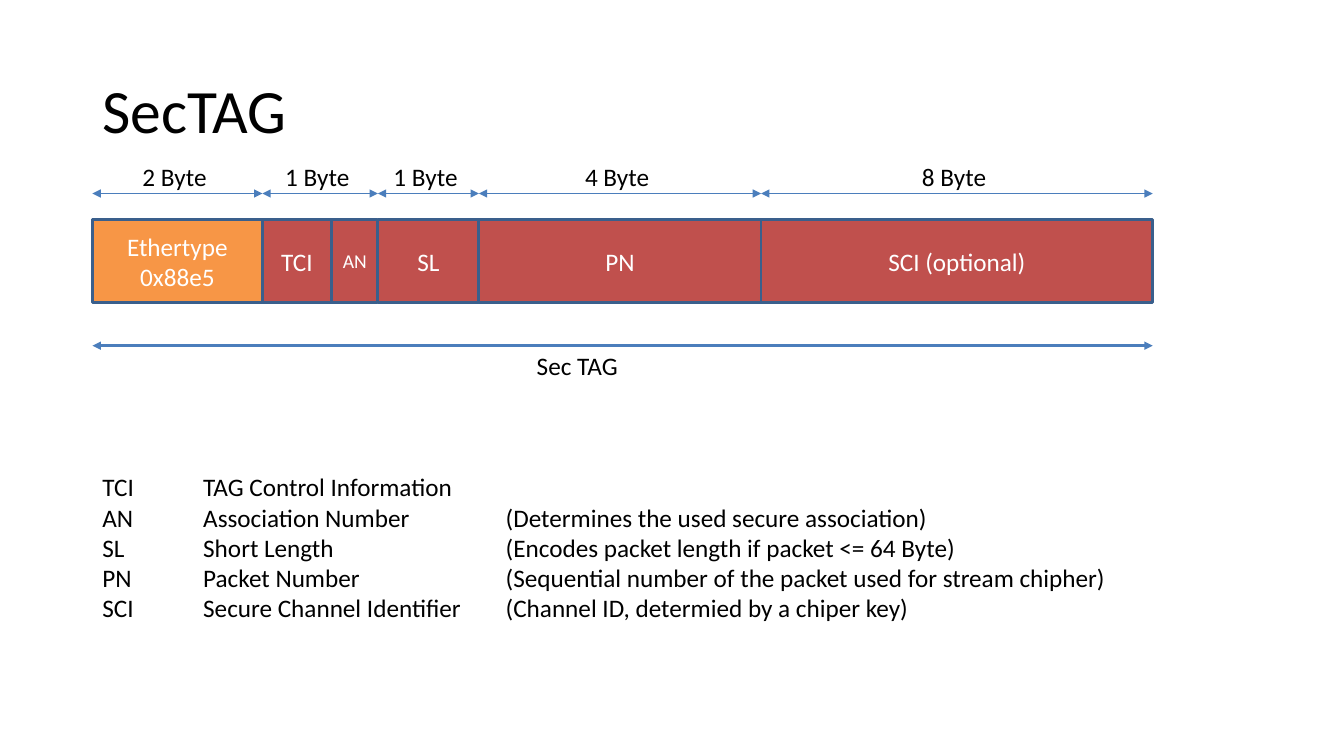
from dataclasses import dataclass

from lxml import etree
from pptx import Presentation
from pptx.dml.color import RGBColor
from pptx.enum.shapes import MSO_CONNECTOR, MSO_SHAPE
from pptx.enum.text import MSO_ANCHOR, PP_ALIGN
from pptx.oxml.ns import qn
from pptx.util import Emu, Inches, Pt

LEFT, CENTER = PP_ALIGN.LEFT, PP_ALIGN.CENTER
TOP, MIDDLE = MSO_ANCHOR.TOP, MSO_ANCHOR.MIDDLE
RECTANGLE, STRAIGHT = MSO_SHAPE.RECTANGLE, MSO_CONNECTOR.STRAIGHT

BLACK = RGBColor(0x00, 0x00, 0x00)
WHITE = RGBColor(0xFF, 0xFF, 0xFF)
ORANGE = RGBColor(0xF7, 0x96, 0x46)
RED = RGBColor(0xC0, 0x50, 0x4D)
OUTLINE = RGBColor(0x3A, 0x5F, 0x8C)
ARROW = RGBColor(0x4B, 0x7E, 0xBC)

FONT = "Calibri"
SLIDE_W, SLIDE_H = Inches(13.33), Inches(7.5)

# Field borders as percent of the slide width, rows as percent of its height
EDGES = [6.88, 19.52, 24.68, 28.12, 35.63, 56.63, 85.77]
TITLE_ROW = (5.33, 19.33)
SIZE_ROW = (20.67, 5.33)
SIZE_ARROW_Y = 25.6
FIELD_ROW = (29.07, 10.93)
TOTAL_ARROW_Y = 45.73
TOTAL_ROW = (TOTAL_ARROW_Y, 5.33)
LEGEND_ROW = (61.73, 21.33)


@dataclass(frozen=True)
class Field:
    label: str
    fill: RGBColor = RED
    size: int = 18


@dataclass(frozen=True)
class ByteSpan:
    count: int
    first_edge: int
    last_edge: int


FIELDS = [
    Field("Ethertype\n0x88e5", ORANGE),
    Field("TCI"),
    Field("AN", size=14),
    Field("SL"),
    Field("PN"),
    Field("SCI (optional)"),
]
BYTE_SPANS = [
    ByteSpan(2, 0, 1),
    ByteSpan(1, 1, 3),
    ByteSpan(1, 3, 4),
    ByteSpan(4, 4, 5),
    ByteSpan(8, 5, 6),
]
LEGEND = [
    ("TCI", "TAG Control Information"),
    ("AN", "Association Number", "(Determines the used secure association)"),
    ("SL", "Short Length", "(Encodes packet length if packet <= 64 Byte)"),
    ("PN", "Packet Number", "(Sequential number of the packet used for stream chipher)"),
    ("SCI", "Secure Channel Identifier", "(Channel ID, determied by a chiper key)"),
]
LEGEND_TABS = [Inches(1), Inches(4)]


def x_at(percent: float) -> Emu:
    return Emu(round(SLIDE_W * percent / 100))


def y_at(percent: float) -> Emu:
    return Emu(round(SLIDE_H * percent / 100))


def box(left: float, right: float, row: tuple[float, float]) -> tuple[Emu, ...]:
    return x_at(left), y_at(row[0]), x_at(right - left), y_at(row[1])


def write(frame, text: str, size: int, color: RGBColor, align=CENTER, anchor=TOP) -> None:
    frame.text = text
    frame.word_wrap = True
    frame.vertical_anchor = anchor
    for paragraph in frame.paragraphs:
        paragraph.alignment = align
        paragraph.font.name = FONT
        paragraph.font.size = Pt(size)
        paragraph.font.color.rgb = color


def add_label(slide, left: float, right: float, row: tuple[float, float], text: str,
              size: int = 18, align=CENTER, anchor=TOP):
    frame = slide.shapes.add_textbox(*box(left, right, row)).text_frame
    write(frame, text, size, BLACK, align, anchor)
    return frame


def add_field(slide, field: Field, left: float, right: float) -> None:
    cell = slide.shapes.add_shape(RECTANGLE, *box(left, right, FIELD_ROW))
    cell.shadow.inherit = False
    cell.fill.solid()
    cell.fill.fore_color.rgb = field.fill
    cell.line.color.rgb = OUTLINE
    cell.line.width = Pt(2)
    write(cell.text_frame, field.label, field.size, WHITE, anchor=MIDDLE)


def add_double_arrow(slide, left: float, right: float, y: float, width: float) -> None:
    arrow = slide.shapes.add_connector(STRAIGHT, x_at(left), y_at(y), x_at(right), y_at(y))
    arrow.line.color.rgb = ARROW
    arrow.line.width = Pt(width)
    line = arrow.line._get_or_add_ln()
    for end in ("a:headEnd", "a:tailEnd"):
        etree.SubElement(line, qn(end), type="triangle")
    etree.SubElement(arrow._element.spPr, qn("a:effectLst"))


def set_tab_stops(paragraph, stops: list[Emu]) -> None:
    properties = paragraph._p.get_or_add_pPr()
    tabs = etree.Element(qn("a:tabLst"))
    for stop in stops:
        etree.SubElement(tabs, qn("a:tab"), pos=str(stop), algn="l")
    properties.find(qn("a:defRPr")).addprevious(tabs)


def main() -> None:
    deck = Presentation()
    deck.slide_width, deck.slide_height = SLIDE_W, SLIDE_H
    slide = deck.slides.add_slide(deck.slide_layouts[6])
    start, end = EDGES[0], EDGES[-1]

    # Title
    title = add_label(slide, start, 100 - start, TITLE_ROW, "SecTAG", 44, LEFT, MIDDLE)
    title.paragraphs[0].line_spacing = 0.9

    # Tag fields
    for field, left, right in zip(FIELDS, EDGES, EDGES[1:]):
        add_field(slide, field, left, right)

    # Total length
    add_double_arrow(slide, start, end, TOTAL_ARROW_Y, 2)
    add_label(slide, 33.3, 52.6, TOTAL_ROW, "Sec TAG")

    # Field sizes
    for span in BYTE_SPANS:
        left, right = EDGES[span.first_edge], EDGES[span.last_edge]
        add_double_arrow(slide, left, right, SIZE_ARROW_Y, 0.75)
        add_label(slide, left, right, SIZE_ROW, f"{span.count} Byte ")

    # Legend of abbreviations
    legend_text = "\n".join("\t".join(entry) for entry in LEGEND)
    legend = add_label(slide, start, end, LEGEND_ROW, legend_text, align=LEFT)
    for paragraph in legend.paragraphs:
        set_tab_stops(paragraph, LEGEND_TABS)

    deck.save("out.pptx")


if __name__ == "__main__":
    main()
